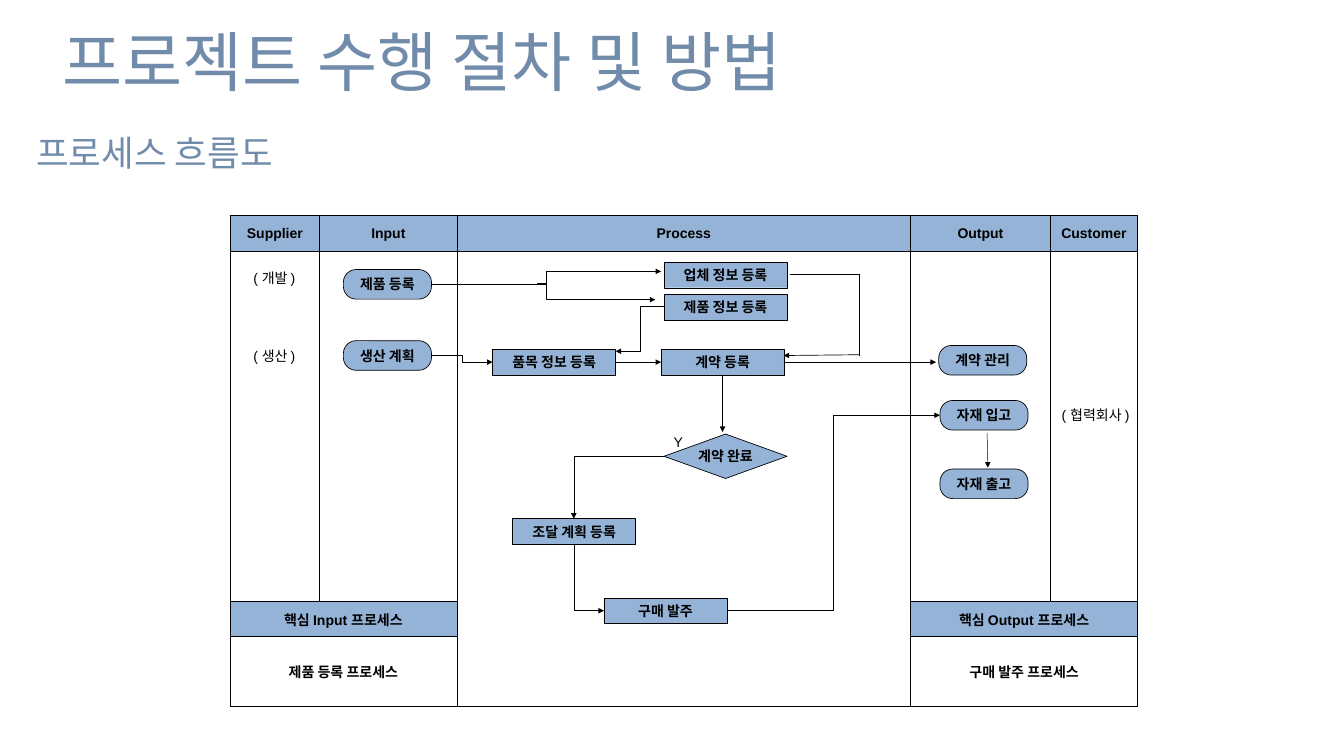
from lxml import etree
from pptx import Presentation
from pptx.dml.color import RGBColor
from pptx.enum.shapes import MSO_CONNECTOR as CONN, MSO_SHAPE as SHAPE
from pptx.enum.text import MSO_ANCHOR as ANCHOR, MSO_AUTO_SIZE as AUTO, PP_ALIGN as ALIGN
from pptx.oxml.ns import qn
from pptx.util import Cm, Pt

BLUE = RGBColor(0x95, 0xB3, 0xD7)
SLATE = RGBColor(0x71, 0x8B, 0xAB)
BLACK = RGBColor(0, 0, 0)
WHITE = RGBColor(255, 255, 255)

BODY = {"size": Pt(15), "name": "Arial", "bold": False}
STRONG = {**BODY, "bold": True}
FRAME = {"margin_left": 0, "margin_right": 0, "margin_top": 0, "margin_bottom": 0}
CENTRED = {**FRAME, "vertical_anchor": ANCHOR.MIDDLE, "word_wrap": False}
HEADING = {**FRAME, "vertical_anchor": ANCHOR.TOP, "word_wrap": True,
           "auto_size": AUTO.SHAPE_TO_FIT_TEXT}

COLUMNS = [3.4, 5.18, 17.15, 5.28, 3.3]
ROWS = [1.37, 13.23, 1.3, 2.64]
HEADERS = ["Supplier", "Input", "Process", "Output", "Customer"]
MERGES = [((1, 2), (3, 2)), ((2, 0), (2, 1)), ((2, 3), (2, 4)),
          ((3, 0), (3, 1)), ((3, 3), (3, 4))]
SUMMARIES = [(2, 0, "핵심 Input 프로세스", "Arial"), (2, 3, "핵심 Output 프로세스", "Arial"),
             (3, 0, "제품 등록 프로세스", "Arial"), (3, 3, "구매 발주 프로세스", "Calibri")]

STEPS = [("업체 정보 등록", 25.1, 9.91), ("제품 정보 등록", 25.1, 11.13),
         ("품목 정보 등록", 18.62, 13.21), ("계약 등록", 24.99, 13.21),
         ("조달 계획 등록", 19.38, 19.61), ("구매 발주", 22.83, 22.61)]
TERMINALS = [("제품 등록", 12.98, 10.19), ("생산 계획", 12.98, 12.88),
             ("계약 관리", 35.48, 13.06), ("자재 입고", 35.53, 15.14),
             ("자재 출고", 35.53, 17.73)]
LABELS = [("( 개발 )", 8.86, 10.13, 3.02, 0.76), ("( 생산 )", 8.86, 13.06, 3.02, 0.76),
          ("( 협력회사 )", 39.9, 15.32, 3.02, 0.76), ("Y", 25.04, 16.36, 1.19, 0.66)]

STRAIGHT_ARROWS = [(27.31, 14.17, 27.31, 16.33), (23.27, 13.69, 24.99, 13.69),
                   (37.31, 16.36, 37.34, 17.68), (29.62, 13.69, 35.38, 13.69)]
ELBOW_ARROWS = [((27.48, 23.09, 35.53, 15.7), 0.5), ((16.31, 13.44, 18.62, 13.69), 0.5),
                ((16.31, 10.74, 24.99, 10.26), 0.5), ((20.29, 10.69, 24.77, 11.33), 0.08),
                ((25.1, 11.58, 23.27, 13.28), 0.5)]
CORNER_ARROWS = [((25.1, 17.25, 21.69, 19.61), "tailEnd"),
                 ((22.83, 23.09, 21.69, 20.57), "headEnd")]
RETURN_LINES = [((29.85, 10.39, 32.49, 10.39), None), ((32.49, 10.39, 32.49, 13.44), None),
                ((32.49, 13.41, 29.62, 13.44), "tailEnd")]


def apply(target, values):
    """Set every attribute of a format dict."""
    for name, value in values.items():
        setattr(target, name, value)


def write(tf, text, font, frame, color=BLACK, align=ALIGN.CENTER, spacing=None):
    """Write one formatted paragraph into a text frame."""
    apply(tf, frame)
    p = tf.paragraphs[0]
    apply(p, {"alignment": align, "line_spacing": spacing})
    r = p.add_run()
    r.text = text
    apply(r.font, font)
    r.font.color.rgb = color


def add_border(cell):
    """Draw a black line on all four sides of a cell."""
    tc_pr = cell._tc.get_or_add_tcPr()
    for side in ("lnL", "lnR", "lnT", "lnB"):
        ln = etree.SubElement(tc_pr, qn(f"a:{side}"), w=str(Pt(1)))
        fill = etree.SubElement(ln, qn("a:solidFill"))
        etree.SubElement(fill, qn("a:srgbClr"), val=str(BLACK))


def fill_cell(cell, text, name="Arial"):
    """Write bold centred text into a table cell."""
    write(cell.text_frame, text, {**STRONG, "name": name}, {})
    apply(cell, {**FRAME, "vertical_anchor": ANCHOR.MIDDLE})


def add_lanes(s):
    """Add the table that forms the swimlanes."""
    table = s.shapes.add_table(len(ROWS), len(COLUMNS), Cm(8.69), Cm(8.15),
                               Cm(sum(COLUMNS)), Cm(sum(ROWS))).table
    for column, width in zip(table.columns, COLUMNS):
        column.width = Cm(width)
    for i, (row, height) in enumerate(zip(table.rows, ROWS)):
        row.height = Cm(height)
        for cell in row.cells:
            add_border(cell)
            cell.fill.solid()
            cell.fill.fore_color.rgb = BLUE if i in (0, 2) else WHITE
    for first, last in MERGES:
        table.cell(*first).merge(table.cell(*last))
    for column, text in enumerate(HEADERS):
        fill_cell(table.cell(0, column), text)
    for row, column, text, name in SUMMARIES:
        fill_cell(table.cell(row, column), text, name)


def add_node(s, kind, text, x, y, width, height, weight=0.75):
    """Add a blue flowchart node."""
    sp = s.shapes.add_shape(kind, Cm(x), Cm(y), Cm(width), Cm(height))
    sp.shadow.inherit = False
    sp.fill.solid()
    sp.fill.fore_color.rgb = BLUE
    sp.line.color.rgb = BLACK
    sp.line.width = Pt(weight)
    if kind == SHAPE.ROUNDED_RECTANGLE:
        sp.adjustments[0] = 0.43
    write(sp.text_frame, text, STRONG, CENTRED)


def add_label(s, text, x, y, width, height):
    """Add a plain centred label."""
    sp = s.shapes.add_textbox(Cm(x), Cm(y), Cm(width), Cm(height))
    write(sp.text_frame, text, BODY, CENTRED)


def add_link(s, ends, kind=CONN.STRAIGHT, arrow="tailEnd", weight=0.5):
    """Add a black connector and return its geometry element."""
    link = s.shapes.add_connector(kind, *map(Cm, ends))
    link.line.color.rgb = BLACK
    link.line.width = Pt(weight)
    sp_pr = link.element.spPr
    if arrow:
        etree.SubElement(sp_pr.find(qn("a:ln")), qn(f"a:{arrow}"), type="triangle")
    etree.SubElement(sp_pr, qn("a:effectLst"))
    return sp_pr.find(qn("a:prstGeom"))


def add_elbow(s, ends, bend):
    """Add an arrow with two bends at a share of its width."""
    geometry = add_link(s, ends, CONN.ELBOW)
    guides = geometry.find(qn("a:avLst"))
    if guides is None:
        guides = etree.SubElement(geometry, qn("a:avLst"))
    etree.SubElement(guides, qn("a:gd"), name="adj1", fmla=f"val {round(bend * 100000)}")


def add_headings(s):
    """Place the title and the subtitle."""
    title = s.shapes.title
    apply(title, {"left": Cm(-2.18), "top": Cm(0.56), "width": Cm(36.25), "height": Cm(3.25)})
    write(title.text_frame, "프로젝트 수행 절차 및 방법", {"size": Pt(70), "name": "Lato"},
          HEADING, SLATE, spacing=Pt(91))
    sp = s.shapes.add_textbox(Cm(1.37), Cm(4.95), Cm(15.52), Cm(1.6))
    write(sp.text_frame, "프로세스 흐름도", {"size": Pt(38), "name": "Lato"},
          HEADING, SLATE, ALIGN.LEFT, Pt(45.6))


def main():
    """Build the process flow slide."""
    prs = Presentation()
    prs.slide_width, prs.slide_height = Cm(50.8), Cm(28.58)
    s = prs.slides.add_slide(prs.slide_layouts[5])
    add_headings(s)
    add_lanes(s)
    for text, x, y in STEPS:
        add_node(s, SHAPE.RECTANGLE, text, x, y, 4.65, 0.97, 0.5)
    for text, x, y in TERMINALS:
        add_node(s, SHAPE.ROUNDED_RECTANGLE, text, x, y, 3.33, 1.12)
    add_node(s, SHAPE.DIAMOND, "계약 완료", 25.1, 16.41, 4.65, 1.68)
    for label in LABELS:
        add_label(s, *label)
    for ends in STRAIGHT_ARROWS:
        add_link(s, ends)
    for ends, bend in ELBOW_ARROWS:
        add_elbow(s, ends, bend)
    for ends, arrow in CORNER_ARROWS:
        add_link(s, ends, CONN.ELBOW, arrow).set("prst", "bentConnector2")
    for ends, arrow in RETURN_LINES:
        add_link(s, ends, arrow=arrow, weight=0.75)
    prs.save("out.pptx")


if __name__ == "__main__":
    main()
